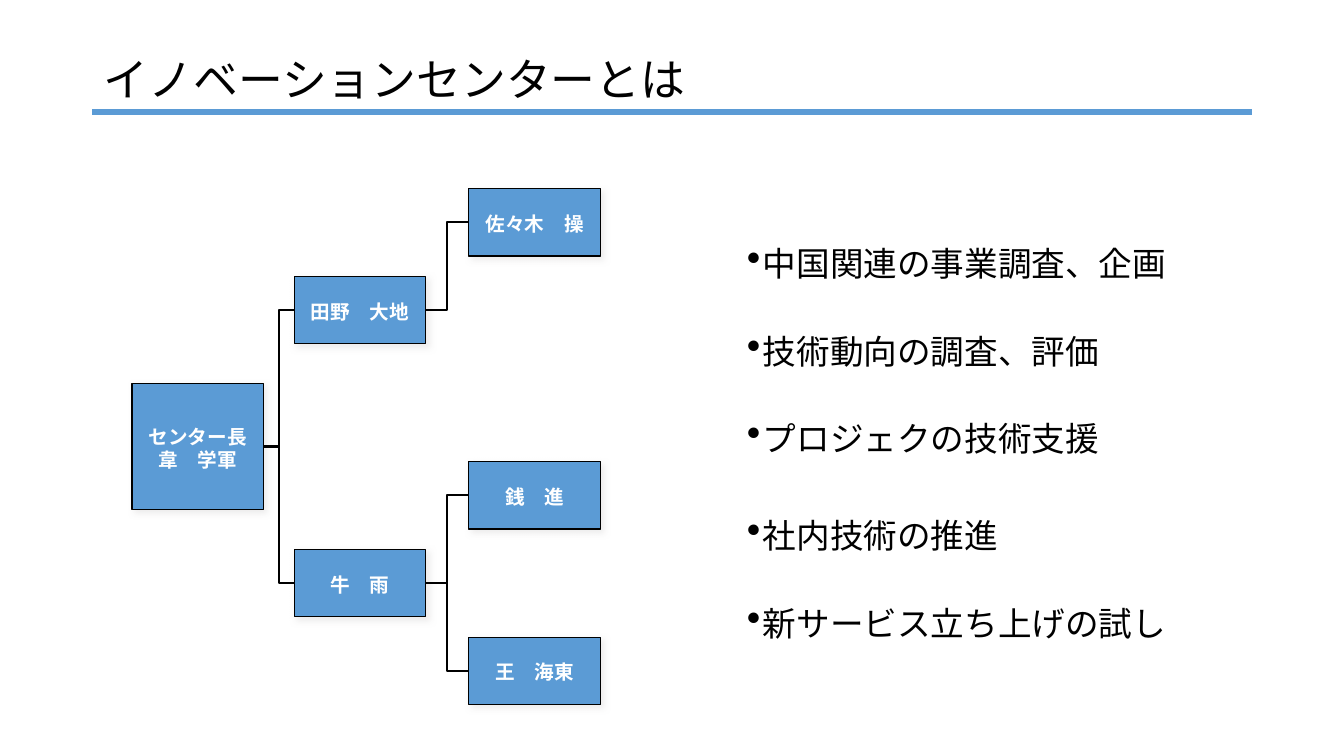
from lxml import etree
from pptx import Presentation
from pptx.dml.color import RGBColor
from pptx.enum.lang import MSO_LANGUAGE_ID
from pptx.enum.shapes import MSO_CONNECTOR, MSO_SHAPE
from pptx.enum.text import MSO_ANCHOR, PP_ALIGN
from pptx.oxml.ns import qn
from pptx.util import Pt

RECTANGLE = MSO_SHAPE.RECTANGLE
STRAIGHT = MSO_CONNECTOR.STRAIGHT
ELBOW = MSO_CONNECTOR.ELBOW
CENTER = PP_ALIGN.CENTER
LEFT = PP_ALIGN.LEFT
TOP = MSO_ANCHOR.TOP
MIDDLE = MSO_ANCHOR.MIDDLE
JAPANESE = MSO_LANGUAGE_ID.JAPANESE
LEFT_SITE, RIGHT_SITE = 1, 3


def color(value):
    return RGBColor.from_string(value)


def add_xml(parent, tag, **attributes):
    return etree.SubElement(parent, qn(tag), attributes)


class Page:
    """Draws styled elements on one slide."""

    font = "Noto Sans CJK JP"
    blue, black, white, shade = "5B9BD5", "000000", "FFFFFF", "E7E6E6"
    line_height, top_shift = 1.17, 0.15

    def __init__(self, deck):
        self.shapes = deck.slides.add_slide(deck.slide_layouts[6]).shapes

    def fill_text(self, box, lines, size, ink, bold=False, align=LEFT,
                  anchor=TOP, inset=0.0, bullet=False):
        frame = box.text_frame
        frame.word_wrap = True
        frame.vertical_anchor = anchor
        frame.margin_left = frame.margin_right = Pt(inset)
        frame.margin_top = Pt(inset / 2 + size * self.top_shift)
        frame.margin_bottom = Pt(inset / 2)
        for index, line in enumerate(lines):
            para = frame.add_paragraph() if index else frame.paragraphs[0]
            if bullet:
                self.add_bullet(para)
            para.alignment = align
            para.line_spacing = Pt(size * self.line_height)
            span = para.add_run()
            span.text = line
            font = span.font
            font.size, font.bold, font.name = Pt(size), bold, self.font
            font.color.rgb = color(ink)
            font.language_id = JAPANESE
            add_xml(span._r.get_or_add_rPr(), "a:ea", typeface=self.font)

    def add_bullet(self, para):
        para.level = 1
        properties = para._p.get_or_add_pPr()
        properties.set("marL", str(Pt(11.5)))
        properties.set("indent", str(-Pt(11.5)))
        add_xml(properties, "a:buSzPct", val="120000")
        add_xml(properties, "a:buChar", char="•")

    def text(self, left, top, width, height, lines, size, **style):
        box = self.shapes.add_textbox(Pt(left), Pt(top), Pt(width), Pt(height))
        self.fill_text(box, lines, size, self.black, **style)

    def member(self, left, middle, height, lines):
        box = self.shapes.add_shape(
            RECTANGLE, Pt(left), Pt(middle - height / 2), Pt(94), Pt(height))
        box.fill.solid()
        box.fill.fore_color.rgb = color(self.blue)
        box.line.color.rgb = color(self.black)
        box.line.width = Pt(0.75)
        box.shadow.inherit = False
        effects = box._element.spPr.find(qn("a:effectLst"))
        shadow = add_xml(effects, "a:outerShdw", blurRad=str(Pt(5)),
                         dist=str(Pt(3)), dir="2700000", algn="tl", rotWithShape="0")
        tint = add_xml(shadow, "a:srgbClr", val=self.shade)
        add_xml(tint, "a:alpha", val="75000")
        self.fill_text(box, lines, 14, self.white, bold=True, align=CENTER, anchor=MIDDLE)
        return box

    def line(self, kind, start, end, ink, width):
        line = self.shapes.add_connector(kind, *map(Pt, start + end))
        line.line.color.rgb = color(ink)
        line.line.width = Pt(width)
        add_xml(line._element.spPr, "a:effectLst")
        return line

    def link(self, parent, child):
        line = self.line(ELBOW, (0, 0), (0, 0), self.black, 1.5)
        line.begin_connect(parent, RIGHT_SITE)
        line.end_connect(child, LEFT_SITE)


def main():
    deck = Presentation()
    deck.slide_width, deck.slide_height = Pt(960), Pt(540)
    page = Page(deck)

    page.line(STRAIGHT, (66, 80), (894, 80), page.blue, 3.75)
    page.text(67, 29.5, 435, 46, ["イノベーションセンターとは"], 32, inset=7.2)

    center, branch, step = 319, 97.5, 62.6
    upper, lower = center - branch, center + branch
    chief = page.member(94.3, center, 90, ["センター長", "韋　学軍"])
    tano = page.member(210.2, upper, 48, ["田野　大地"])
    niu = page.member(210.2, lower, 48, ["牛　雨"])
    sasaki = page.member(335, upper - step, 48, ["佐々木　操"])
    qian = page.member(335, lower - step, 48, ["銭　進"])
    wang = page.member(335, lower + step, 48, ["王　海東"])
    for parent, child in ((tano, sasaki), (niu, qian), (niu, wang),
                          (chief, tano), (chief, niu)):
        page.link(parent, child)

    duties = (
        (170.6, ("中国関連の事業調査、企画", "技術動向の調査、評価", "プロジェクの技術支援")),
        (365, ("社内技術の推進", "新サービス立ち上げの試し")),
    )
    for top, lines in duties:
        for index, line in enumerate(lines):
            page.text(533.5, top + index * step, 304, 29, [line], 24, bullet=True)

    deck.save("out.pptx")


if __name__ == "__main__":
    main()
